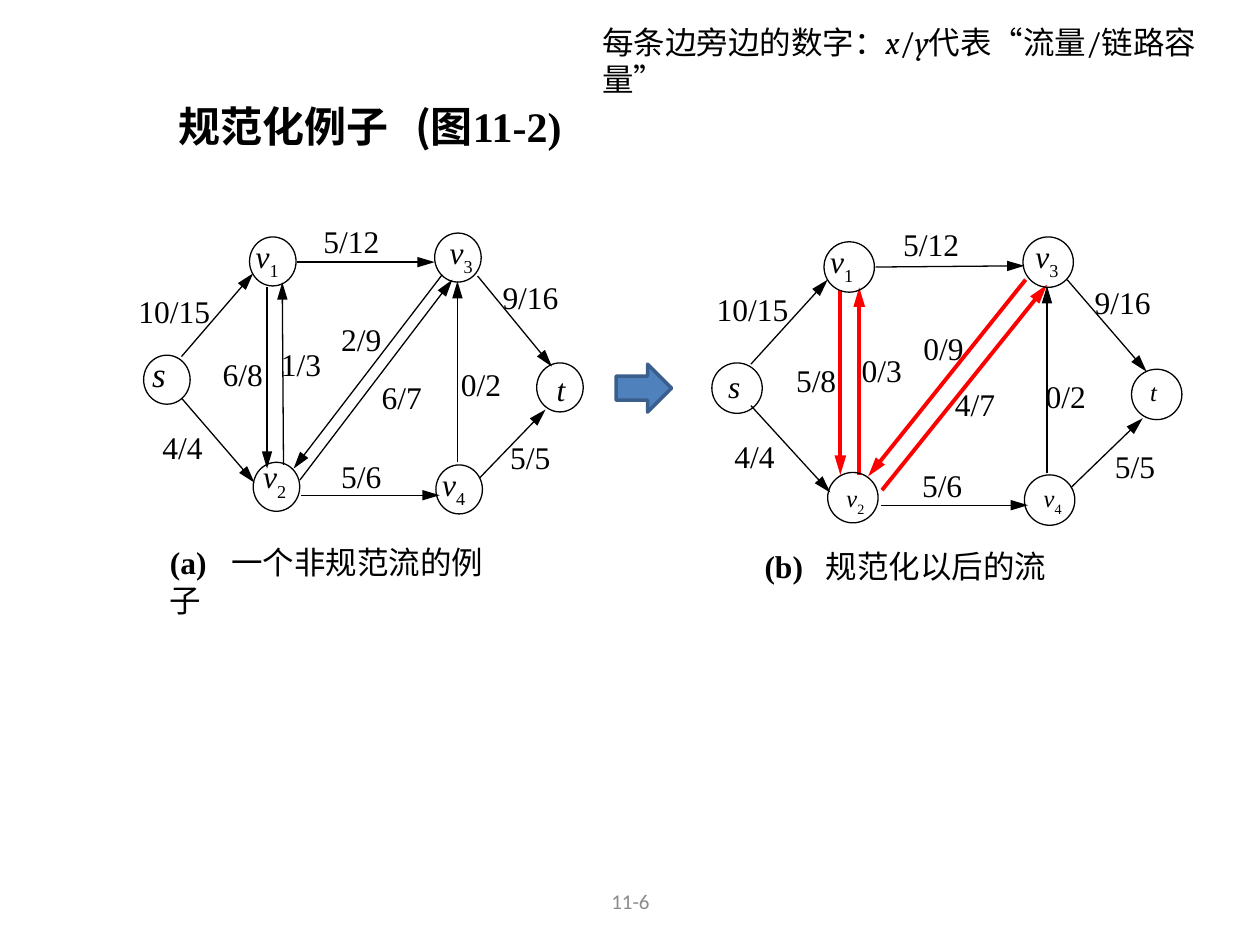
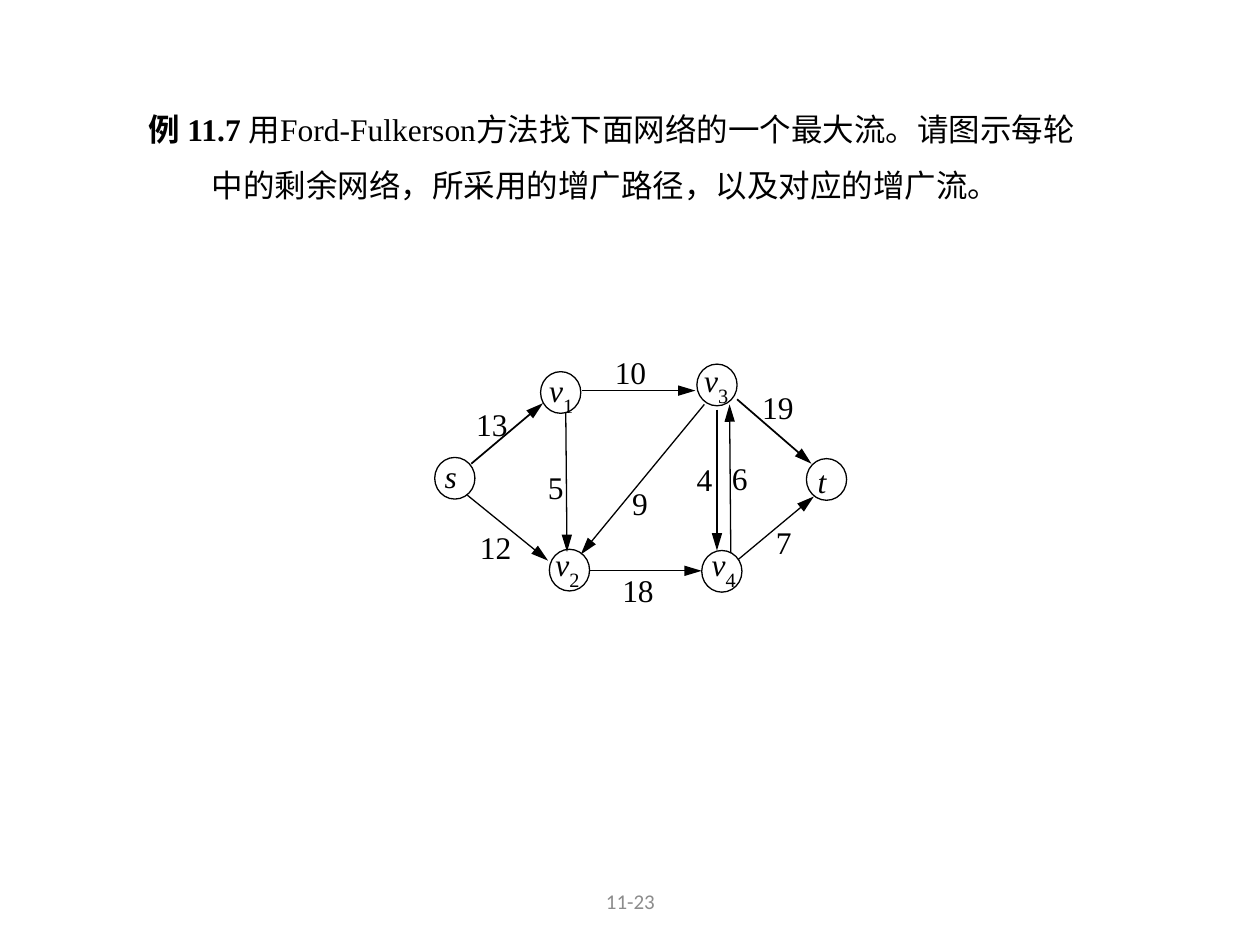
from lxml import etree
from pptx import Presentation
from pptx.dml.color import RGBColor
from pptx.enum.shapes import MSO_CONNECTOR, MSO_SHAPE
from pptx.enum.text import MSO_ANCHOR, MSO_AUTO_SIZE, PP_ALIGN
from pptx.oxml.ns import qn
from pptx.util import Pt

STRAIGHT = MSO_CONNECTOR.STRAIGHT
OVAL, RIGHT_ARROW = MSO_SHAPE.OVAL, MSO_SHAPE.RIGHT_ARROW
TOP, MIDDLE = MSO_ANCHOR.TOP, MSO_ANCHOR.MIDDLE
LEFT, CENTER = PP_ALIGN.LEFT, PP_ALIGN.CENTER
NO_FIT = MSO_AUTO_SIZE.NONE

COLORS = {"ink": "000000", "changed": "FF0000", "number": "8C8C8C",
          "arrow": "4F81BD", "arrow_edge": "3A5F8C"}
SERIF, SANS, CJK, MATH = "Times New Roman", "Calibri", "Noto Sans CJK SC", "Cambria"
THIN, MEDIUM, BOLD = 0.75, 1, 2.25
LABEL_WIDTHS = {1: 34.6, 2: 34.6, 3: 48, 4: 55, 5: 72}
LABEL_HEIGHT = 33

# nodes: name, circle left and top, label left and top, label size
# edges: start, end, label, label left and top, width
NON_CANONICAL = {
    "circle": (26.6, 28), "label": (37.4, 36), "sub_size": None,
    "nodes": [
        ("s", 82.1, 203, 79.9, 198, 20),
        ("v1", 142.6, 135.4, 139, 131.8, 18),
        ("v2", 144.7, 264.2, 143.3, 257.8, 18),
        ("v3", 248.4, 133.2, 249.8, 129.6, 18),
        ("v4", 249.1, 265.7, 245.5, 262.1, 18),
        ("t", 306.7, 207.4, 311, 208.1, 18),
    ],
    "edges": [
        (103.7, 203.8, 144.7, 156.2, "10/15", 72, 163.4, THIN),
        (103.7, 227.5, 145.4, 275.8, "4/4", 85.7, 241.2, THIN),
        (169.9, 149.8, 248.4, 149.8, "5/12", 177.8, 123.1, THIN),
        (152.6, 164.2, 152.6, 267.8, "6/8", 120.2, 199.4, THIN),
        (162, 265.7, 161.3, 161.3, "1/3", 153.4, 193.7, THIN),
        (252.7, 157, 167.8, 267.8, "2/9", 187.9, 179.3, THIN),
        (172.1, 283, 251.3, 283, "5/6", 187.9, 257.8, THIN),
        (171.4, 274.3, 258.5, 159.8, "6/7", 211, 212.4, THIN),
        (261.4, 264.2, 261.4, 160.6, "0/2", 256.3, 205.2, THIN),
        (272.9, 157.7, 315.4, 209.5, "9/16", 280.1, 155.5, THIN),
        (274.3, 272.9, 311.8, 234, "5/5", 284.4, 247, THIN),
    ],
    "caption": ("(a)\t", "一个非规范流的例子", (90, 306.7, 207.4, 38.9)),
}
CANONICAL = {
    "circle": (28.8, 28.8), "label": (40.3, 36.7), "sub_size": None,
    "nodes": [
        ("s", 406.8, 207.4, 409, 205.9, 18),
        ("v1", 470.9, 138.2, 467.3, 134.6, 18),
        ("v2", 473, 270, 476.6, 272.2, 14),
        ("v3", 584.6, 135.4, 584.6, 131.8, 18),
        ("v4", 585.4, 271.4, 589.3, 272.2, 14),
        ("t", 646.6, 211, 650.2, 211.7, 14),
    ],
    "edges": [
        (429.1, 208.1, 473, 159.8, "10/15", 402.5, 162, THIN),
        (429.1, 231.8, 474.5, 281.5, "4/4", 412.6, 246.2, THIN),
        (500.4, 152.6, 585.4, 151.9, "5/12", 509, 125.3, THIN),
        (480.2, 165.6, 480.2, 271.4, "5/8", 447.8, 203, BOLD),
        (491, 271.4, 491, 164.2, "0/3", 485.3, 197.3, BOLD),
        (586.1, 159.8, 496.1, 272.2, "0/9", 520.6, 184.3, BOLD),
        (503.3, 288.7, 587.5, 288.7, "5/6", 519.8, 262.8, THIN),
        (504, 280.1, 598.3, 162.7, "4/7", 538.6, 216.7, BOLD),
        (598.3, 270, 598.3, 163.4, "0/2", 590.4, 211.7, THIN),
        (609.8, 159.8, 655.2, 212.4, "9/16", 618.5, 158.4, THIN),
        (612, 278.6, 653, 239, "5/5", 630, 252, THIN),
    ],
    "caption": ("(b)\t", "规范化以后的流", (429.8, 308.9, 222.5, 32.4)),
}
EXERCISE = {
    "circle": (23, 23.8), "label": (39.6, 37.4), "sub_size": 20,
    "nodes": [
        ("s", 248.4, 261.4, 247, 257.8, 18),
        ("v1", 308.9, 212.4, 306.7, 206.6, 18),
        ("v2", 313.9, 313.9, 310.3, 306, 18),
        ("v3", 398.2, 208.1, 395.3, 200.9, 18),
        ("v4", 401, 314.6, 399.6, 306, 18),
        ("t", 460.8, 262.1, 460.1, 260.6, 18),
    ],
    "edges": [
        (269.3, 265, 310.3, 230.4, "13", 265, 228.2, MEDIUM),
        (267.1, 283, 313.2, 320.4, "12", 267.1, 298.1, THIN),
        (332.6, 223.2, 397.4, 223.2, "10", 344.2, 198, MEDIUM),
        (337, 326.2, 401, 326.2, "18", 348.5, 322.6, THIN),
        (323.3, 235.4, 324, 315.4, "5", 306, 264.2, THIN),
        (417.6, 316.1, 416.9, 231.1, "6", 411.1, 258.5, THIN),
        (409.7, 234, 409.7, 314.6, "4", 391, 259.2, THIN),
        (402.5, 231.1, 331.9, 316.8, "9", 354.2, 272.9, THIN),
        (421.2, 228.2, 463.7, 265, "19", 428.4, 218.2, MEDIUM),
        (421.9, 319.7, 465.1, 283.7, "7", 436.3, 295.2, THIN),
    ],
    "caption": None,
}
SLIDES = [
    {"number": "11-6",
     "title": [("规范化例子\t(图", 24, CJK, "b"), ("11-2)", 24, SERIF, "b")],
     "title_at": (95, 54, 540, 36), "tab": 135, "hanging": 0, "spacing": 1,
     "graphs": [NON_CANONICAL, CANONICAL],
     "note": [("每条边旁边的数字：", 18, MATH, ""), ("x", 18, MATH, "i"),
              ("/", 18, MATH, ""), ("y", 18, MATH, "i"),
              ("代表“流量/链路容量”", 18, MATH, "")],
     "note_at": (337, 9.4, 385.9, 28.8),
     "arrow_at": (352.1, 208.1, 31.7, 27.4)},
    {"number": "11-23",
     "title": [("例", 18, CJK, "b"), (" 11.7 ", 18, SERIF, "b"), ("用", 18, SANS, ""),
               ("Ford-Fulkerson方法找下面网络的一个最大流。请图示每轮中的剩余网络，"
                "所采用的增广路径，以及对应的增广流。", 18, SERIF, "")],
     "title_at": (77.8, 48.2, 558, 68.4), "tab": None, "hanging": 36, "spacing": 1.5,
     "graphs": [EXERCISE], "note": None, "arrow_at": None},
]
NUMBER_AT = (246.2, 500.4, 228.2, 28.8)


def rgb(name):
    return RGBColor.from_string(COLORS[name])


def points(values):
    return [Pt(v) for v in values]


def add_tab(p, pos):
    tabs = etree.SubElement(p._p.get_or_add_pPr(), qn("a:tabLst"))
    etree.SubElement(tabs, qn("a:tab"), pos=str(Pt(pos)), algn="l")


def add_runs(p, runs, color="ink"):
    for text, size, font, style in runs:
        r = p.add_run()
        r.text = text
        r.font.size = Pt(size)
        r.font.name = font
        r.font.bold = "b" in style
        r.font.italic = "i" in style
        r.font.color.rgb = rgb(color)
        rPr = r._r.get_or_add_rPr()
        etree.SubElement(rPr, qn("a:ea"), typeface=CJK)
        if "_" in style:
            rPr.set("baseline", "-30000")


def add_text(shapes, box, runs, color="ink", tab=None):
    tf = shapes.add_textbox(*points(box)).text_frame
    tf.word_wrap = True
    p = tf.paragraphs[0]
    if tab:
        add_tab(p, tab)
    add_runs(p, runs, color)
    return tf


def add_edge(shapes, ends, width):
    c = shapes.add_connector(STRAIGHT, *points(ends))
    c.line.width = Pt(width)
    c.line.color.rgb = rgb("changed" if width == BOLD else "ink")
    etree.SubElement(c.line._get_or_add_ln(), qn("a:tailEnd"),
                     type="triangle", w="med", len="lg")
    etree.SubElement(c._element.spPr, qn("a:effectLst"))


def add_graph(slide, graph):
    shapes = slide.shapes.add_group_shape().shapes
    for *ends, label, left, top, width in graph["edges"]:
        add_edge(shapes, ends, width)
        add_text(shapes, (left, top, LABEL_WIDTHS[len(label)], LABEL_HEIGHT),
                 [(label, 18, SERIF, "")])
    for name, x, y, left, top, size in graph["nodes"]:
        sp = shapes.add_shape(OVAL, *points((x, y, *graph["circle"])))
        sp.shadow.inherit = False
        sp.fill.background()
        sp.line.color.rgb = rgb("ink")
        sp.line.width = Pt(THIN)
        runs = [(name[0], size, SERIF, "i")]
        if name[1:]:
            runs.append((name[1:], graph["sub_size"] or size, SERIF, "_"))
        add_text(shapes, (left, top, *graph["label"]), runs)
    if graph["caption"]:
        mark, text, box = graph["caption"]
        add_text(shapes, box, [(mark, 18, SERIF, "b"), (text, 18, SERIF, "")], tab=35)


def add_title(slide, content):
    title = slide.shapes.title
    title.left, title.top, title.width, title.height = points(content["title_at"])
    tf = title.text_frame
    tf.word_wrap = True
    tf.auto_size = NO_FIT
    tf.vertical_anchor = TOP
    p = tf.paragraphs[0]
    p.alignment = LEFT
    p.line_spacing = content["spacing"]
    if content["hanging"]:
        pPr = p._p.get_or_add_pPr()
        pPr.set("marL", str(Pt(content["hanging"])))
        pPr.set("indent", str(-Pt(content["hanging"])))
    if content["tab"]:
        add_tab(p, content["tab"])
    add_runs(p, content["title"])


def add_number(slide, number):
    tf = add_text(slide.shapes, NUMBER_AT, [(number, 12, SANS, "")], "number")
    tf.vertical_anchor = MIDDLE
    tf.paragraphs[0].alignment = CENTER


def add_block_arrow(slide, box):
    sp = slide.shapes.add_shape(RIGHT_ARROW, *points(box))
    sp.shadow.inherit = False
    sp.fill.solid()
    sp.fill.fore_color.rgb = rgb("arrow")
    sp.line.color.rgb = rgb("arrow_edge")
    sp.line.width = Pt(2)


def main():
    prs = Presentation()
    prs.slide_width, prs.slide_height = Pt(720), Pt(540)
    for content in SLIDES:
        slide = prs.slides.add_slide(prs.slide_layouts[5])
        add_title(slide, content)
        add_number(slide, content["number"])
        for graph in content["graphs"]:
            add_graph(slide, graph)
        if content["note"]:
            add_text(slide.shapes, content["note_at"], content["note"])
        if content["arrow_at"]:
            add_block_arrow(slide, content["arrow_at"])
    prs.save("out.pptx")


if __name__ == "__main__":
    main()
